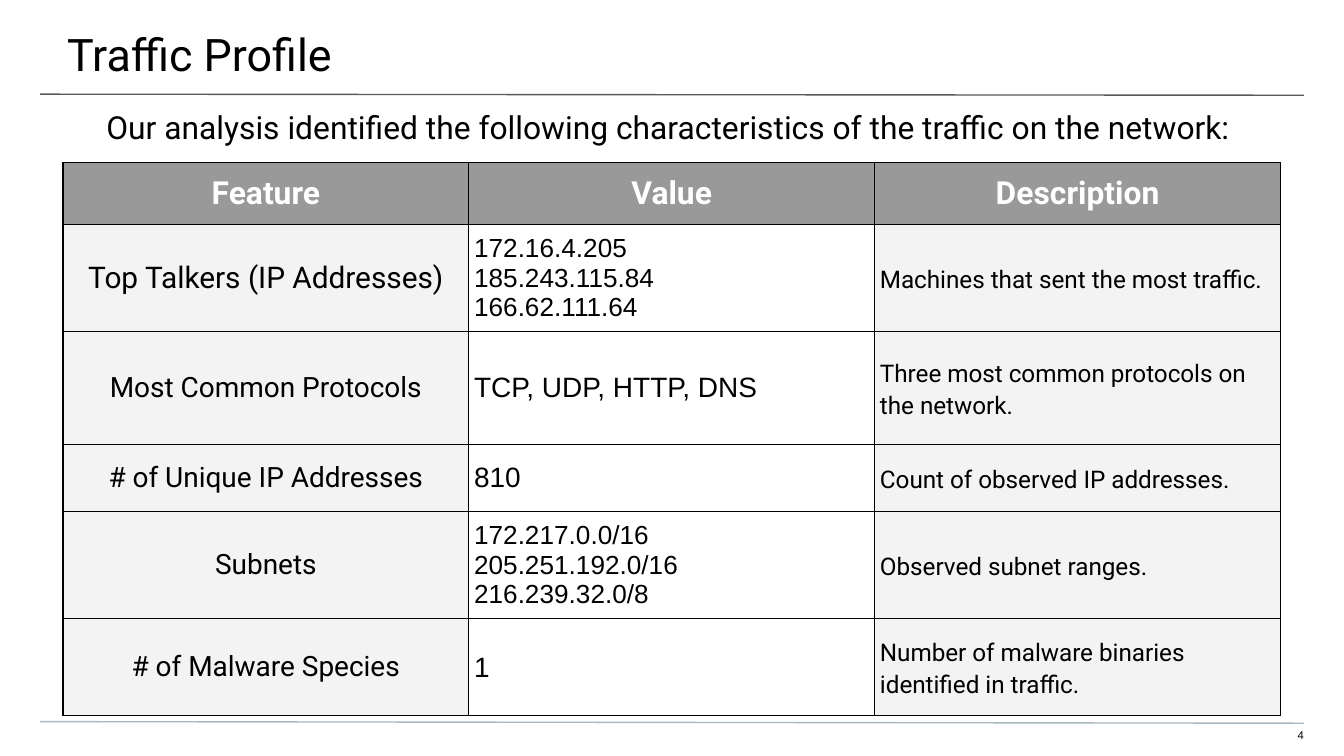
"""Build the Traffic Profile slide with its table of network features."""
import pptx
import pptx.chart.data
import pptx.dml.color
import pptx.enum.shapes
import pptx.enum.text
import pptx.oxml
import pptx.oxml.ns
import pptx.util
from lxml import etree

Cm = pptx.util.Cm
Pt = pptx.util.Pt
ALIGN = pptx.enum.text.PP_ALIGN
MIDDLE = pptx.enum.text.MSO_ANCHOR.MIDDLE
qn = pptx.oxml.ns.qn


def color(value):
    return pptx.dml.color.RGBColor.from_string(value)


def write(frame, text, size, font="Roboto", ink="000000", bold=False, align=ALIGN.LEFT, spacing=None, after=0):
    frame.word_wrap = True
    frame.text = text
    for paragraph in frame.paragraphs:
        paragraph.alignment = align
        paragraph.line_spacing = spacing
        paragraph.space_after = Pt(after)
        paragraph.font.name = font
        paragraph.font.size = Pt(size)
        paragraph.font.bold = bold
        paragraph.font.color.rgb = color(ink)


deck = pptx.Presentation()
deck.slide_width, deck.slide_height = Cm(25.4), Cm(14.29)
slide = deck.slides.add_slide(deck.slide_layouts[6])

for start, end, ink in [(1.78, 1.8, "595959"), (13.64, 13.67, "A9B7C0")]:
    rule = slide.shapes.add_connector(
        pptx.enum.shapes.MSO_CONNECTOR.STRAIGHT, Cm(0.76), Cm(start), Cm(24.64), Cm(end))
    rule.line.color.rgb = color(ink)
    rule.line.width = Pt(0.75)
    etree.SubElement(rule.element.spPr, qn("a:effectLst"))

texts = [
    ("Traffic Profile", (0, 0, 25.4, 1.47), (1.27, 0.51, 0.76, 0.25), 24, "Roboto", ALIGN.LEFT),
    ("4", (23.9, 13.77, 0.74, 0.3), (0, 0, 0, 0.25), 6, "Arial", ALIGN.RIGHT),
    ("Our analysis identified the following characteristics of the traffic on the network:",
     (0.74, 2.03, 23.9, 1), (1.27, 0, 1.27, 0), 17, "Roboto", ALIGN.LEFT),
]
for text, place, insets, size, font, align in texts:
    frame = slide.shapes.add_textbox(*map(Cm, place)).text_frame
    frame.margin_left, frame.margin_top, frame.margin_right, frame.margin_bottom = map(Cm, insets)
    write(frame, text, size, font, align=align)

headings = ["Feature", "Value", "Description"]
features = [
    ("Top Talkers (IP Addresses)", 16, "172.16.4.205\n185.243.115.84\n166.62.111.64", 14,
     "Machines that sent the most traffic."),
    ("Most Common Protocols", 15, "TCP, UDP, HTTP, DNS", 15,
     "Three most common protocols on the network."),
    ("# of Unique IP Addresses", 15, "810", 15, "Count of observed IP addresses."),
    ("Subnets", 15, "172.217.0.0/16\n205.251.192.0/16\n216.239.32.0/8", 14,
     "Observed subnet ranges."),
    ("# of Malware Species", 15, "1", 15, "Number of malware binaries identified in traffic."),
]
heights = [1.17, 2.03, 2.13, 1.27, 2.03, 1.83]
profile = slide.shapes.add_table(
    len(heights), len(headings), Cm(1.19), Cm(3.07), Cm(23.01), Cm(sum(heights))).table
profile.first_row = profile.horz_banding = False
for column in profile.columns:
    column.width = Cm(7.67)
for row, height in zip(profile.rows, heights):
    row.height = Cm(height)

for column, heading in enumerate(headings):
    write(profile.cell(0, column).text_frame, heading, 17, ink="FFFFFF", bold=True, align=ALIGN.CENTER)
for row, (feature, feature_size, value, value_size, description) in enumerate(features, 1):
    write(profile.cell(row, 0).text_frame, feature, feature_size, align=ALIGN.CENTER)
    write(profile.cell(row, 1).text_frame, value, value_size, "Arial")
    write(profile.cell(row, 2).text_frame, description, 13, spacing=1.15, after=4)

for index, cell in enumerate(profile.iter_cells()):
    row, column = divmod(index, len(headings))
    cell.vertical_anchor = MIDDLE
    cell.margin_left = cell.margin_right = cell.margin_top = cell.margin_bottom = Cm(0.1)
    properties = cell._tc.get_or_add_tcPr()
    for side in ("lnL", "lnR", "lnT", "lnB"):
        border = etree.SubElement(properties, qn(f"a:{side}"), w=str(Pt(0.75)))
        paint = etree.SubElement(border, qn("a:solidFill"))
        etree.SubElement(paint, qn("a:srgbClr"), val="000000")
    if row and column == 1:
        cell.fill.background()
    else:
        cell.fill.solid()
        cell.fill.fore_color.rgb = color("F3F3F3" if row else "999999")

deck.save("out.pptx")
